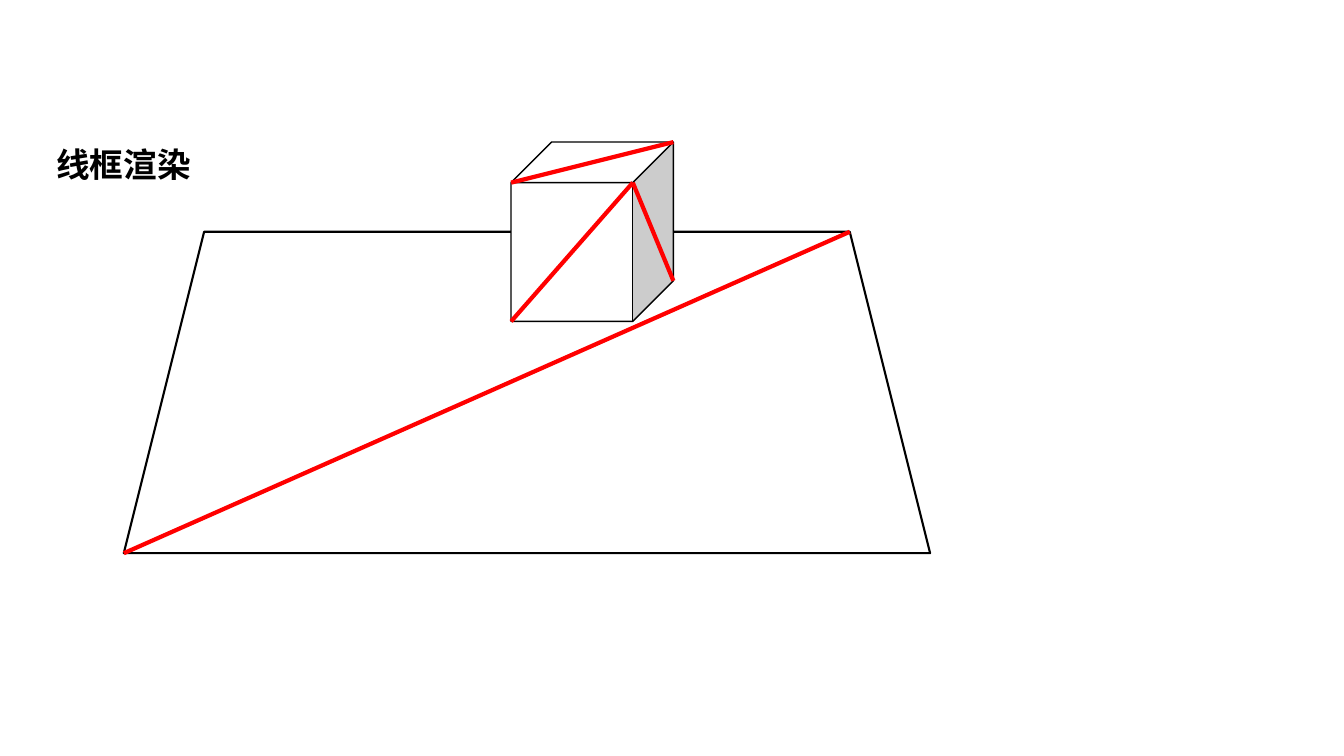
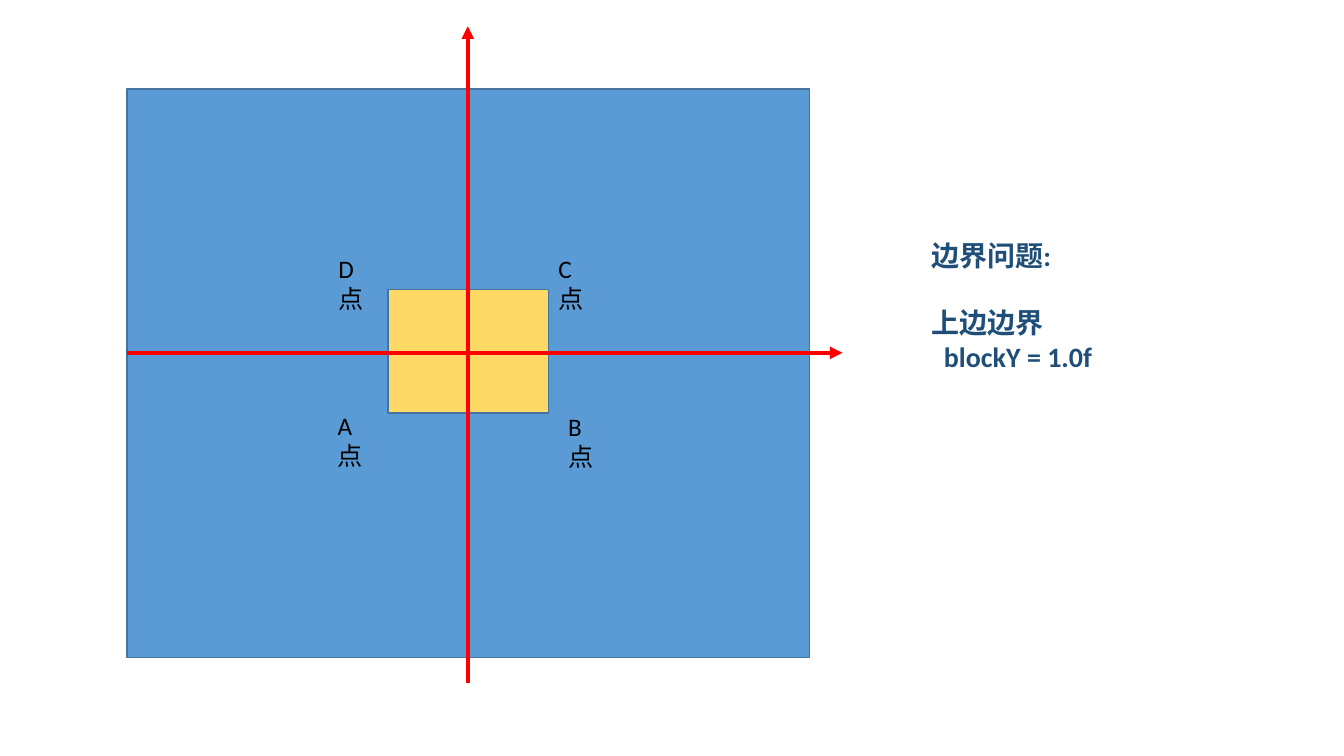
"""Build two slides: a wireframe cube on a plane, and a block on a coordinate system."""
from lxml import etree
from pptx import Presentation
from pptx.dml.color import RGBColor
from pptx.enum import shapes, text
from pptx.oxml import ns
from pptx.util import Cm, Pt

FONT = "Calibri"
BLACK, WHITE, RED = "000000", "FFFFFF", "FF0000"
BLUE, EDGE, YELLOW, NAVY = "5B9BD5", "43739E", "FFD966", "1F4E79"

TITLE = "线框渲染"
PLANE = (3.12, 5.84, 20.32, 8.1)
CUBE = (12.88, 3.58, 4.09, 4.52)
SLANT = 0.25

WORLD = (3.2, 2.24, 17.2, 14.33)
BLOCK = (9.78, 7.29, 4.04, 3.12)
CORNERS = [
    ("A点", 8.26, 10.21),
    ("B点", 14.07, 10.24),
    ("C点", 13.82, 6.25),
    ("D点", 8.28, 6.25),
]
AXES = [((3.2, 8.89), (21.23, 8.89)), ((11.79, 17.22), (11.79, 0.66))]
NOTES = [("边界问题:", 0, 0), ("上边边界", 24, 0), ("blockY = 1.0f", 0, 0.32)]


def rgb(value):
    return RGBColor.from_string(value)


def add_figure(s, kind, box, fill, line, width):
    sp = s.shapes.add_shape(kind, *map(Cm, box))
    sp.shadow.inherit = False
    sp.fill.solid()
    sp.fill.fore_color.rgb = rgb(fill)
    sp.line.color.rgb = rgb(line)
    sp.line.width = Pt(width)


def add_red_line(s, start, end, arrow=False):
    cx = s.shapes.add_connector(
        shapes.MSO_CONNECTOR.STRAIGHT, *map(Cm, (*start, *end)))
    cx.line.color.rgb = rgb(RED)
    cx.line.width = Pt(3)
    if arrow:
        ln = cx.line._get_or_add_ln()
        etree.SubElement(ln, ns.qn("a:tailEnd"), type="triangle")
    etree.SubElement(cx._element.spPr, ns.qn("a:effectLst"))


def add_text(s, box, lines, size, color, bold=False, wrap=True):
    tf = s.shapes.add_textbox(*map(Cm, box)).text_frame
    tf.word_wrap = wrap
    tf.auto_size = text.MSO_AUTO_SIZE.NONE
    for i, (words, before, indent) in enumerate(lines):
        p = tf.add_paragraph() if i else tf.paragraphs[0]
        p.space_before = Pt(before)
        if indent:
            p._p.get_or_add_pPr().set("marL", str(Cm(indent)))
        r = p.add_run()
        r.text = words
        r.font.name = FONT
        r.font.size = Pt(size)
        r.font.bold = bold
        r.font.color.rgb = rgb(color)


def build_wireframe(s):
    add_figure(s, shapes.MSO_SHAPE.TRAPEZOID, PLANE, WHITE, BLACK, 1.5)
    add_figure(s, shapes.MSO_SHAPE.CUBE, CUBE, WHITE, BLACK, 1)
    x, y, w, h = PLANE
    add_red_line(s, (x, y + h), (x + w - SLANT * h, y))
    x, y, w, h = CUBE
    depth = SLANT * w
    front_right = (x + w - depth, y + depth)
    add_red_line(s, (x, y + h), front_right)
    add_red_line(s, (x, y + depth), (x + w, y))
    add_red_line(s, front_right, (x + w, y + h - depth))
    add_text(s, (1.17, 3.51, 3.94, 1.27), [(TITLE, 0, 0)], 24, BLACK,
             bold=True, wrap=False)


def build_boundary(s):
    for box, fill in ((WORLD, BLUE), (BLOCK, YELLOW)):
        add_figure(s, shapes.MSO_SHAPE.RECTANGLE, box, fill, EDGE, 1)
    for name, x, y in CORNERS:
        add_text(s, (x, y, 1.4, 1.02), [(name, 0, 0)], 18, BLACK)
    add_text(s, (23.22, 5.89, 9.58, 4.52), NOTES, 20, NAVY, bold=True)
    for start, end in AXES:
        add_red_line(s, start, end, arrow=True)


def main():
    prs = Presentation()
    prs.slide_width, prs.slide_height = Cm(33.87), Cm(19.05)
    for build in (build_wireframe, build_boundary):
        build(prs.slides.add_slide(prs.slide_layouts[6]))
    prs.save("out.pptx")


if __name__ == "__main__":
    main()
